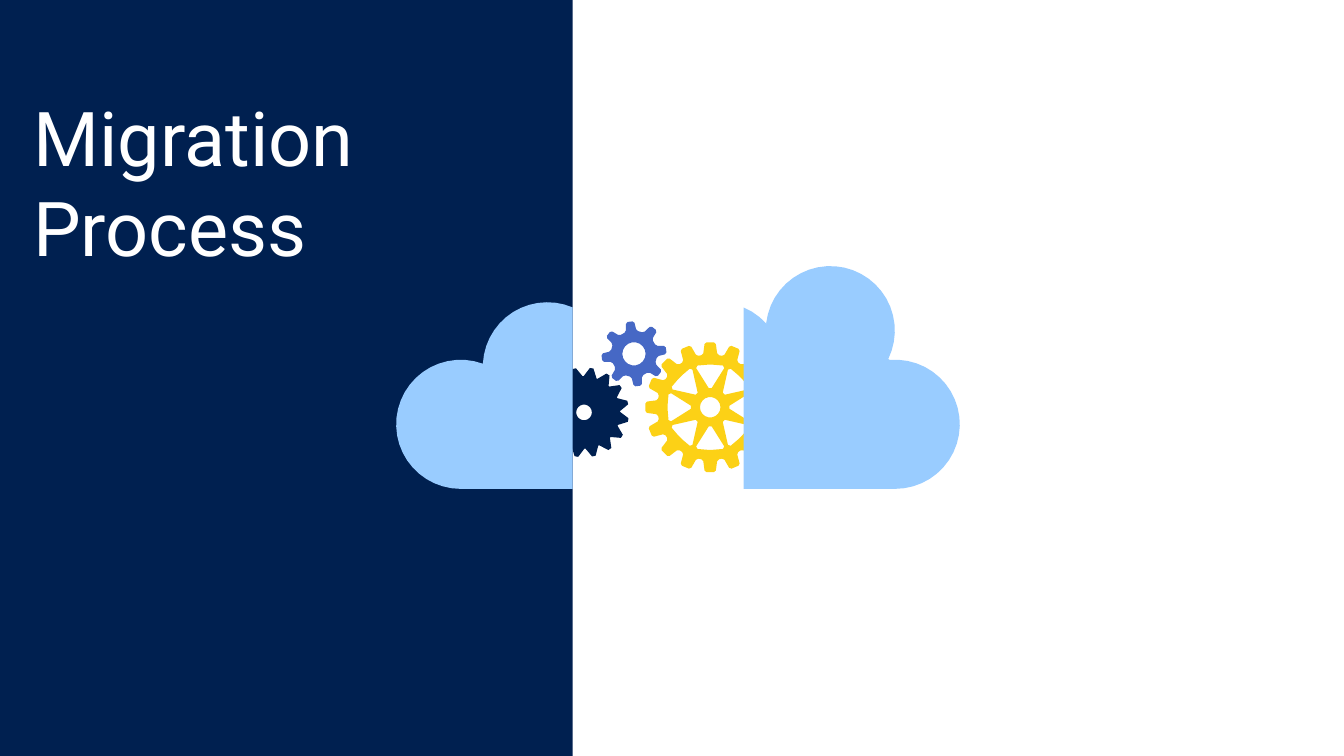
from dataclasses import dataclass
from math import cos, hypot, radians, sin

from pptx import Presentation, util as u
from pptx.dml.color import RGBColor
from pptx.enum import shapes, text

Pt = u.Pt


@dataclass(frozen=True)
class Theme:
    navy: str = "002050"
    blue: str = "4668C5"
    yellow: str = "FCD116"
    sky: str = "99CCFF"
    white: str = "FFFFFF"
    font: str = "Roboto"
    title_size: float = 54


THEME = Theme()
UNITS = 100  # freeform units per point


def paint(shape, color):
    shape.shadow.inherit = False
    shape.fill.solid()
    shape.fill.fore_color.rgb = RGBColor.from_string(color)
    shape.line.fill.background()


# Outline helpers
def turned(cx, cy, along, across, deg):
    a = radians(deg)
    return cx + along * cos(a) - across * sin(a), cy + along * sin(a) + across * cos(a)


def arc(cx, cy, r, start, end, step=8):
    n = max(2, round((end - start) / step))
    return [turned(cx, cy, r, 0, start + (end - start) * i / n) for i in range(n + 1)]


def bevelled(points, size):
    """Cut each corner off at the given distance along its two sides."""
    out = []
    for i, (x, y) in enumerate(points):
        for nx, ny in (points[i - 1], points[(i + 1) % len(points)]):
            t = min(size / hypot(nx - x, ny - y), 0.5)
            out.append((x + (nx - x) * t, y + (ny - y) * t))
    return out


def draw(s, contours, color):
    builder = None
    for contour in contours:
        pts = [(round(x * UNITS), round(y * UNITS)) for x, y in contour]
        if builder is None:
            builder = s.shapes.build_freeform(*pts[0], scale=Pt(1) / UNITS)
        else:
            builder.move_to(*pts[0])
        builder.add_line_segments(pts[1:], close=True)
    paint(builder.convert_to_shape(), color)


# Left panel with the title
def title_panel(s, left, top, width, height):
    panel = s.shapes.add_shape(shapes.MSO_SHAPE.RECTANGLE,
                               Pt(left), Pt(top), Pt(width), Pt(height))
    paint(panel, THEME.navy)
    title = s.shapes.title
    title.element.addprevious(panel.element)
    box = dict(left=left + 9.4, top=top + 60.5, width=width - 22.4, height=254)
    for name, value in box.items():
        setattr(title, name, Pt(value))
    tf = title.text_frame
    frame = dict(margin_left=Pt(14.4), margin_right=Pt(14.4), margin_top=Pt(11.5),
                 margin_bottom=Pt(11.5), word_wrap=True,
                 auto_size=text.MSO_AUTO_SIZE.NONE,
                 vertical_anchor=text.MSO_ANCHOR.TOP)
    for name, value in frame.items():
        setattr(tf, name, value)
    for i, line in enumerate(("Migration", "Process")):
        p = tf.add_paragraph() if i else tf.paragraphs[0]
        for name, value in dict(alignment=text.PP_ALIGN.LEFT, line_spacing=0.9,
                                space_before=Pt(0), space_after=Pt(6)).items():
            setattr(p, name, value)
        r = p.add_run()
        r.text = line
        for name, value in dict(name=THEME.font, size=Pt(THEME.title_size),
                                bold=False).items():
            setattr(r.font, name, value)
        r.font.color.rgb = RGBColor.from_string(THEME.white)


# Gear filling a square box; tip and base are half widths of a tooth
def gear(s, left, top, size, color, teeth, turn, root, tip, base, hole,
         corner=0, windows=0):
    r = size / 2
    cx, cy = left + r, top + r
    tooth = (root, -base), (r, -tip), (r, tip), (root, base)
    outline = [turned(cx, cy, along, across, turn + 360 * i / teeth)
               for i in range(teeth) for along, across in tooth]
    if corner:
        outline = bevelled(outline, corner)
    contours = [outline, arc(cx, cy, hole, 0, 360, step=20)]
    wedge = (0.26, 0), (0.64, -0.24), (0.66, 0), (0.64, 0.24)
    for i in range(windows):
        window = [turned(cx, cy, a * r, b * r, 360 * i / windows) for a, b in wedge]
        contours.append(bevelled(window, 2))
    draw(s, contours, color)


# Half clouds, cut off at the inner edge of their box
LOBE = 46.1


def left_cloud(s, left, top, width, height):
    outline = arc(left + LOBE, top + height - LOBE, LOBE, 90, 290)
    outline += arc(left + 108, top + LOBE, LOBE, 183, 293)
    outline.append((left + width, top + height))
    draw(s, [outline], THEME.sky)


def right_cloud(s, left, top, width, height):
    outline = [(left, top + height)]
    outline += arc(left - 18, top + 72, LOBE, 293, 318)
    outline += arc(left + 61.9, top + LOBE, LOBE, 187, 386)
    outline += arc(left + width - LOBE, top + height - LOBE, LOBE, 265, 450)
    draw(s, [outline], THEME.sky)


def migration_slide(prs):
    s = prs.slides.add_slide(prs.slide_layouts[5])
    title_panel(s, 0, 0, 409, 540)
    gear(s, 429.7, 229.6, 46.3, THEME.blue, teeth=8, turn=38, root=16.2,
         tip=2.9, base=3.8, hole=8.3, corner=1.2)
    gear(s, 385.2, 262.6, 64, THEME.navy, teeth=16, turn=9.8, root=25.4,
         tip=1.3, base=4.7, hole=5.6)
    gear(s, 461, 244.6, 92.6, THEME.yellow, teeth=16, turn=0, root=37.4,
         tip=3.9, base=5.1, hole=7.3, corner=1.2, windows=8)
    left_cloud(s, 283, 215.9, 126, 133.3)
    right_cloud(s, 531.2, 190.1, 154.4, 159.1)


def main():
    prs = Presentation()
    prs.slide_width, prs.slide_height = Pt(960), Pt(540)
    migration_slide(prs)
    prs.save("out.pptx")


if __name__ == "__main__":
    main()
